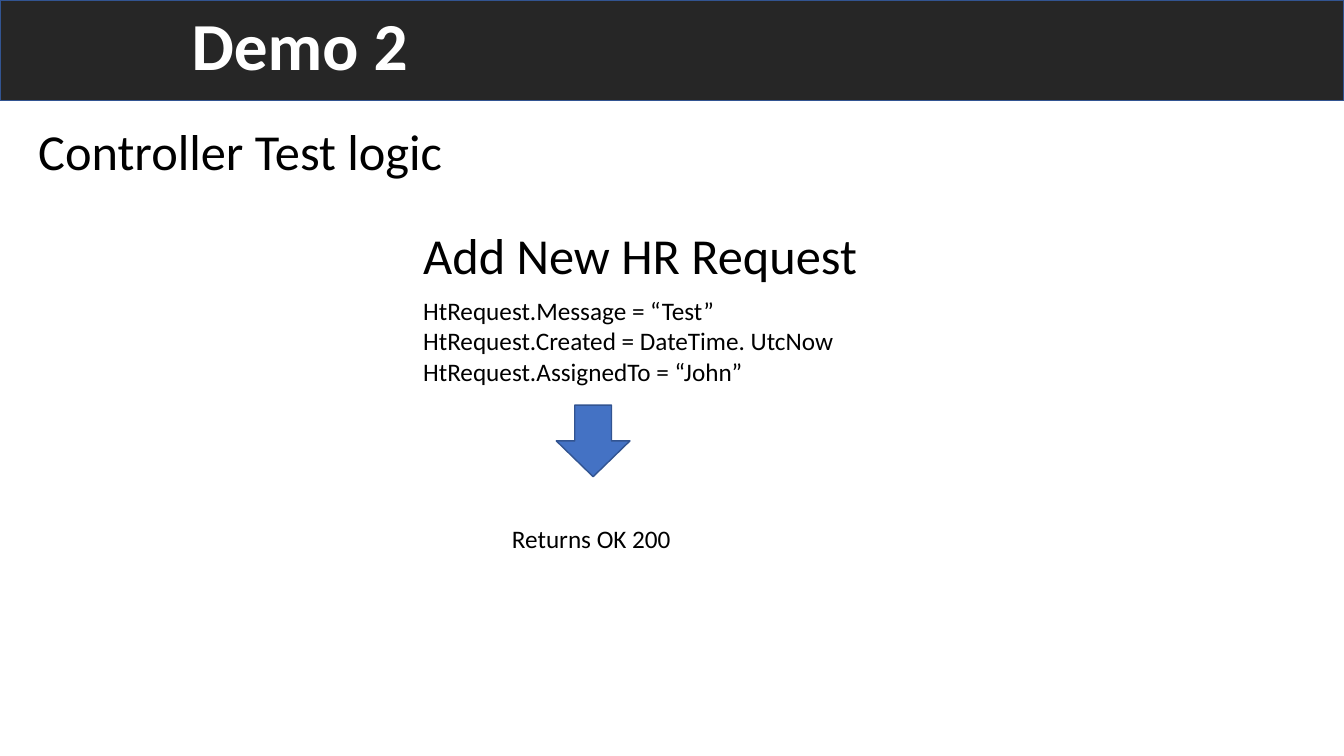
"""Build the Demo 2 slide on the controller test logic."""
from pptx import Presentation
from pptx import util as u
from pptx.dml.color import RGBColor
from pptx.enum import shapes, text

TITLE = ("Demo 2", (129.6, 7.2, 387.4, 54.7))
TEXTS = [
    (["Controller Test logic"], (20.2, 82, 338.4, 51), 36),
    (["Add New HR Request"], (295.2, 156.2, 389.5, 51), 36),
    (["HtRequest.Message = “Test”",
      "HtRequest.Created = DateTime. UtcNow",
      "HtRequest.AssignedTo = “John”"], (295.2, 207.4, 311, 94.3), 18),
    (["Returns OK 200"], (358.6, 370, 294.5, 51), 18),
]
SHAPES = [
    (shapes.MSO_SHAPE.RECTANGLE, (0, 0, 960, 72), "262626"),
    (shapes.MSO_SHAPE.DOWN_ARROW, (397.4, 289.4, 52.6, 51.1), "4472C4"),
]
OUTLINE = "325491"


def rgb(value):
    """Return the colour of a hex string."""
    return RGBColor.from_string(value)


def pts(box):
    """Return a box as lengths in points."""
    return [u.Pt(v) for v in box]


def write(tf, lines, size, color="000000", bold=False, anchor=text.MSO_ANCHOR.TOP):
    """Fill a text frame with one paragraph per line."""
    tf.word_wrap = True
    tf.auto_size = text.MSO_AUTO_SIZE.NONE
    tf.vertical_anchor = anchor
    for i, line in enumerate(lines):
        p = tf.add_paragraph() if i else tf.paragraphs[0]
        p.alignment = text.PP_ALIGN.LEFT
        r = p.add_run()
        r.text = line
        r.font.name = "Calibri"
        r.font.size = u.Pt(size)
        r.font.bold = bold
        r.font.color.rgb = rgb(color)


prs = Presentation()
prs.slide_width, prs.slide_height = u.Pt(960), u.Pt(540)
s = prs.slides.add_slide(prs.slide_layouts[5])

for kind, box, fill in SHAPES:
    sp = s.shapes.add_shape(kind, *pts(box))
    sp.shadow.inherit = False
    sp.fill.solid()
    sp.fill.fore_color.rgb = rgb(fill)
    sp.line.color.rgb = rgb(OUTLINE)
    sp.line.width = u.Pt(1)

title = s.shapes.title
title.element.getparent().append(title.element)
title.left, title.top, title.width, title.height = pts(TITLE[1])
write(title.text_frame, [TITLE[0]], 48, color="FFFFFF", bold=True,
      anchor=text.MSO_ANCHOR.MIDDLE)
p = title.text_frame.paragraphs[0]
p.line_spacing, p.space_before = 0.9, u.Pt(10)

for lines, box, size in TEXTS:
    write(s.shapes.add_textbox(*pts(box)).text_frame, lines, size)

prs.save("out.pptx")
